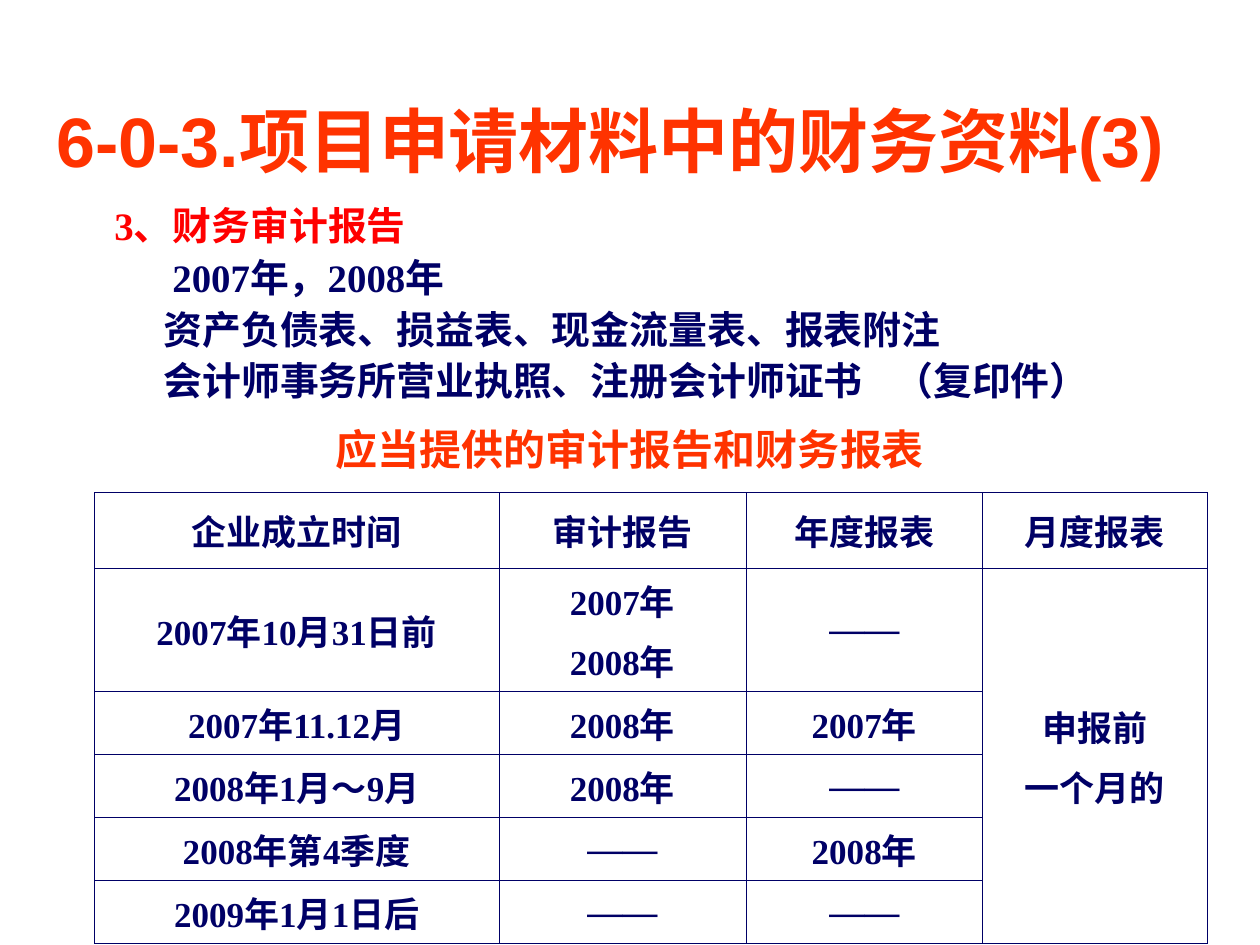
"""Build the slide on the audit reports and statements an applicant must supply."""
from lxml import etree
from pptx import Presentation, util as u
from pptx.dml.color import RGBColor
from pptx.enum import lang, text
from pptx.oxml import ns

COLORS = {"orange": "FF3300", "red": "FF0000", "navy": "000066", "white": "FFFFFF"}
SERIF = "Times New Roman"
TITLE = "6-0-3.项目申请材料中的财务资料(3)"
CAPTION = "应当提供的审计报告和财务报表"
BODY = [
    ("3、财务审计报告", "red", 0.31),
    ("2007年，2008年", "navy", 0.77),
    ("资产负债表、损益表、现金流量表、报表附注", "navy", 0.7),
    ("会计师事务所营业执照、注册会计师证书\t（复印件）", "navy", 0.7),
]
COPY_TAB = 6.57
ROWS = [
    ("企业成立时间", "审计报告", "年度报表", "月度报表"),
    ("2007年10月31日前", "2007年\n2008年", "——", "申报前\n一个月的"),
    ("2007年11.12月", "2008年", "2007年", ""),
    ("2008年1月～9月", "2008年", "——", ""),
    ("2008年第4季度", "——", "2008年", ""),
    ("2009年1月1日后", "——", "——", ""),
]
COL_WIDTHS = [3.21, 1.96, 1.88, 1.78]
ROW_HEIGHTS = [0.6, 0.98] + [0.5] * 4
BORDER = 0.45


def write(p, content, size=20, color="navy", font=SERIF, align=None, before=0, spacing=None):
    r = p.add_run()
    r.text = content
    r.font.size, r.font.name, r.font.bold = u.Pt(size), font, True
    r.font.color.rgb = RGBColor.from_string(COLORS[color])
    r.font.language_id = lang.MSO_LANGUAGE_ID.SIMPLIFIED_CHINESE
    p.alignment, p.space_before, p.line_spacing = align, u.Pt(before), spacing


def text_box(s, *box):
    tf = s.shapes.add_textbox(*map(u.Inches, box)).text_frame
    tf.word_wrap = True
    return tf


def add_body(s):
    tf = text_box(s, 0.5, 1.55, 9, 1.73)
    for i, (line, color, indent) in enumerate(BODY):
        p = tf.add_paragraph() if i else tf.paragraphs[0]
        write(p, line, size=22.2, color=color, before=3)
        pPr = p._p.get_or_add_pPr()
        pPr.set("indent", str(u.Inches(indent)))
        if "\t" in line:
            tabs = etree.SubElement(pPr, ns.qn("a:tabLst"))
            etree.SubElement(tabs, ns.qn("a:tab"), pos=str(u.Inches(COPY_TAB)), algn="l")


def style_cell(cell):
    cell.vertical_anchor = text.MSO_ANCHOR.MIDDLE
    cell.fill.solid()
    cell.fill.fore_color.rgb = RGBColor.from_string(COLORS["white"])
    tcPr = cell._tc.get_or_add_tcPr()
    etree.SubElement(tcPr.find(".//" + ns.qn("a:srgbClr")), ns.qn("a:alpha"), val="50000")
    for i, side in enumerate("LRTB"):
        ln = etree.Element(ns.qn("a:ln" + side), w=str(u.Pt(BORDER)))
        fill = etree.SubElement(ln, ns.qn("a:solidFill"))
        etree.SubElement(fill, ns.qn("a:srgbClr"), val=COLORS["navy"])
        tcPr.insert(i, ln)


def add_report_table(s):
    box = (0.75, 3.91, sum(COL_WIDTHS), sum(ROW_HEIGHTS))
    table = s.shapes.add_table(len(ROWS), len(COL_WIDTHS), *map(u.Inches, box)).table
    table.first_row = table.horz_banding = False
    for column, width in zip(table.columns, COL_WIDTHS):
        column.width = u.Inches(width)
    for row, height in zip(table.rows, ROW_HEIGHTS):
        row.height = u.Inches(height)
    for i, row in enumerate(ROWS):
        for j, content in enumerate(row):
            cell = table.cell(i, j)
            style_cell(cell)
            tf = cell.text_frame
            for n, line in enumerate(content.split("\n") if content else []):
                p = tf.add_paragraph() if n else tf.paragraphs[0]
                write(p, line, align=text.PP_ALIGN.CENTER, before=5)
    table.cell(1, 3).merge(table.cell(len(ROWS) - 1, 3))


def main():
    prs = Presentation()
    prs.slide_width, prs.slide_height = u.Inches(10), u.Inches(7.5)
    s = prs.slides.add_slide(prs.slide_layouts[6])
    add_body(s)
    add_report_table(s)
    caption = text_box(s, 1.75, 3.36, 6.5, 0.5)
    write(caption.paragraphs[0], CAPTION, size=24, color="orange",
          align=text.PP_ALIGN.CENTER, before=6, spacing=0.9)
    title = text_box(s, 0.35, 0.67, 9.65, 0.88)
    title.vertical_anchor = text.MSO_ANCHOR.MIDDLE
    write(title.paragraphs[0], TITLE, size=40, color="orange", font="Arial")
    prs.save("out.pptx")


if __name__ == "__main__":
    main()
